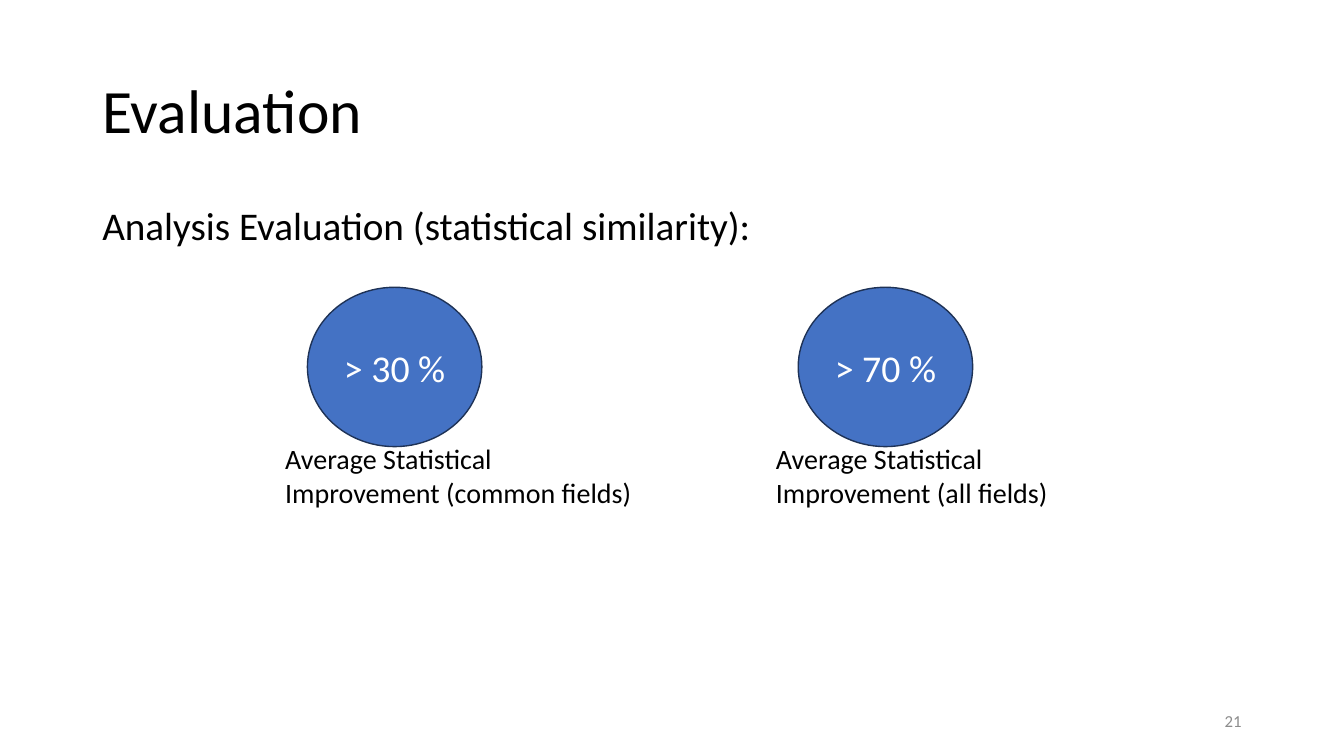
from pptx import Presentation
from pptx.dml.color import RGBColor
from pptx.enum.shapes import MSO_SHAPE
from pptx.enum.text import MSO_ANCHOR, PP_ALIGN
from pptx.util import Pt

BLACK = "000000"
CIRCLE_TOP = 205.2
CAPTION_TOP = 311.8
CAPTION_OUTDENT = 23


def color(value):
    return RGBColor.from_string(value)


def write(shape, text, size, ink=BLACK, align=PP_ALIGN.LEFT, anchor=MSO_ANCHOR.TOP, spacing=1.0):
    frame = shape.text_frame
    frame.vertical_anchor = anchor
    para = frame.paragraphs[0]
    para.text = text
    para.alignment = align
    para.line_spacing = spacing
    para.font.name = "Calibri"
    para.font.size = Pt(size)
    para.font.color.rgb = color(ink)


def add_text(page, left, top, width, height, text, size, **style):
    box = page.shapes.add_textbox(Pt(left), Pt(top), Pt(width), Pt(height))
    box.text_frame.word_wrap = True
    write(box, text, size, **style)


def add_circle(page, left, text):
    circle = page.shapes.add_shape(
        MSO_SHAPE.OVAL, Pt(left), Pt(CIRCLE_TOP), Pt(124.6), Pt(113.8))
    circle.shadow.inherit = False
    circle.fill.solid()
    circle.fill.fore_color.rgb = color("4472C4")
    circle.line.color.rgb = color("1E3256")
    circle.line.width = Pt(1)
    circle.text_frame.word_wrap = False
    write(circle, text, 27, ink="FFFFFF", align=PP_ALIGN.CENTER, anchor=MSO_ANCHOR.MIDDLE)


def add_result(page, left, value, caption, caption_width):
    add_circle(page, left, value)
    add_text(page, left - CAPTION_OUTDENT, CAPTION_TOP, caption_width, 55.4, caption, 20)


def main():
    deck = Presentation()
    deck.slide_width, deck.slide_height = Pt(960), Pt(540)
    page = deck.slides.add_slide(deck.slide_layouts[6])

    add_text(page, 66, 28.8, 828, 104.4, "Evaluation", 44,
             anchor=MSO_ANCHOR.MIDDLE, spacing=0.9)
    add_text(page, 66, 144, 828, 342.7, "Analysis Evaluation (statistical similarity):", 28,
             spacing=0.9)
    add_result(page, 219.6, "> 30 %", "Average Statistical Improvement (common fields)", 265.7)
    add_result(page, 570.2, "> 70 %", "Average Statistical Improvement (all fields)", 216)
    add_text(page, 678, 500.4, 216, 28.8, "21", 12, ink="8C8C8C",
             align=PP_ALIGN.RIGHT, anchor=MSO_ANCHOR.MIDDLE)

    deck.save("out.pptx")


if __name__ == "__main__":
    main()
